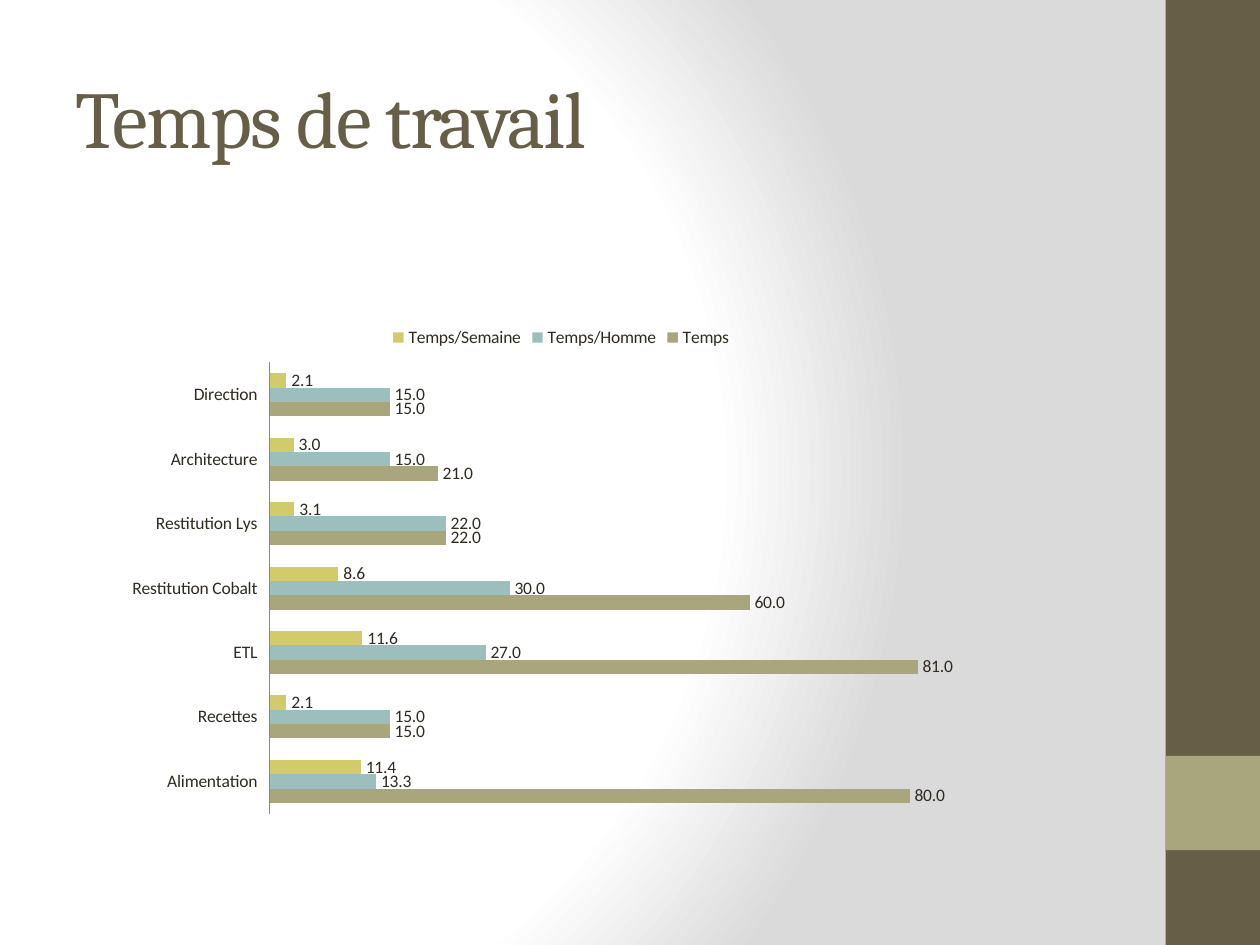
"""Build the working-time slide: a title, a clustered bar chart and a side band."""
from dataclasses import dataclass

from lxml.etree import SubElement
from pptx import Presentation
from pptx.chart.data import CategoryChartData
from pptx.dml.color import RGBColor as Rgb
from pptx.enum.chart import XL_CHART_TYPE as ChartType
from pptx.enum.chart import XL_LABEL_POSITION as LabelPos
from pptx.enum.chart import XL_LEGEND_POSITION as LegendPos
from pptx.enum.chart import XL_TICK_LABEL_POSITION as TickLabel
from pptx.enum.chart import XL_TICK_MARK as Tick
from pptx.enum.shapes import MSO_SHAPE as Shape
from pptx.enum.text import MSO_ANCHOR as Anchor
from pptx.oxml.ns import qn
from pptx.util import Cm, Pt

TITLE = "Temps de travail"
TASKS = ["Alimentation", "Recettes", "ETL", "Restitution Cobalt",
         "Restitution Lys", "Architecture", "Direction"]
TIMES = [
    ("Temps", "A9A57C", (80, 15, 81, 60, 22, 21, 15)),
    ("Temps/Homme", "9CBEBD", (13.3, 15, 27, 30, 22, 15, 15)),
    ("Temps/Semaine", "D2CB6C", (11.4, 2.1, 11.6, 8.6, 3.1, 3, 2.1)),
]


@dataclass(frozen=True)
class Theme:
    """Colours, fonts and type sizes of the slide."""
    dark: str = "675E47"
    accent: str = "A9A57C"
    ink: str = "2F2B20"
    axis: str = "8A8880"
    glow: tuple = ((0, "FFFFFF"), (75, "FFFFFF"), (100, "DADADA"))
    heading: str = "Cambria"
    body: str = "Calibri"
    title_size: int = 46
    chart_size: int = 10


theme = Theme()
WIDTH, HEIGHT, BAND = Cm(25.4), Cm(19.05), Cm(1.9)


def style(font, name, size, color):
    font.name, font.size = name, Pt(size)
    font.color.rgb = Rgb.from_string(color)


def paint_background(slide):
    slide.background.fill.gradient()
    gradient = next(slide.element.iter(qn("a:gradFill")))
    for child in list(gradient):
        gradient.remove(child)
    stops = SubElement(gradient, qn("a:gsLst"))
    for percent, color in theme.glow:
        stop = SubElement(stops, qn("a:gs"), pos=str(percent * 1000))
        SubElement(stop, qn("a:srgbClr"), val=color)
    circle = SubElement(gradient, qn("a:path"), path="circle")
    SubElement(circle, qn("a:fillToRect"), l="20000", t="50000", r="100000", b="50000")


def add_band(slide, top, height, color):
    band = slide.shapes.add_shape(Shape.RECTANGLE, WIDTH - BAND, top, BAND, height)
    band.shadow.inherit = False
    band.fill.solid()
    band.fill.fore_color.rgb = Rgb.from_string(color)
    band.line.fill.background()


def add_title(slide):
    frame = slide.shapes.add_textbox(Cm(1.27), Cm(0.76), Cm(21.16), Cm(3.18)).text_frame
    frame.word_wrap, frame.vertical_anchor = True, Anchor.MIDDLE
    heading = frame.paragraphs[0]
    run = heading.add_run()
    run.text = TITLE
    style(heading.font, theme.heading, theme.title_size, theme.dark)
    run.font._element.set("spc", "-100")


def add_times(slide):
    data = CategoryChartData(number_format="0.0")
    data.categories = TASKS
    for name, _, values in TIMES:
        data.add_series(name, values)
    chart = slide.shapes.add_chart(ChartType.BAR_CLUSTERED, Cm(2.31), Cm(6.32),
                                   Cm(18), Cm(10.29), data).chart
    style(chart.font, theme.body, theme.chart_size, theme.ink)
    chart.has_title = False
    chart.has_legend = True
    chart.legend.position = LegendPos.TOP
    chart.legend.include_in_layout = False

    tasks, hours = chart.category_axis, chart.value_axis
    tasks.major_tick_mark = tasks.minor_tick_mark = Tick.NONE
    tasks.tick_label_position = TickLabel.LOW
    tasks.format.line.color.rgb = Rgb.from_string(theme.axis)
    hours.minimum_scale, hours.maximum_scale = 0, 90
    hours.has_major_gridlines = hours.visible = False

    plot = chart.plots[0]
    plot.gap_width, plot.overlap, plot.vary_by_categories = 150, 0, False
    for series, (_, color, _) in zip(plot.series, TIMES):
        series.format.fill.solid()
        series.format.fill.fore_color.rgb = Rgb.from_string(color)
        labels = series.data_labels
        labels.show_value = True
        labels.number_format, labels.number_format_is_linked = "0.0", False
        labels.position = LabelPos.OUTSIDE_END


deck = Presentation()
deck.slide_width, deck.slide_height = WIDTH, HEIGHT
slide = deck.slides.add_slide(deck.slide_layouts[6])
paint_background(slide)
add_band(slide, 0, HEIGHT, theme.dark)
add_band(slide, Cm(15.24), BAND, theme.accent)
add_title(slide)
add_times(slide)
deck.save("out.pptx")
